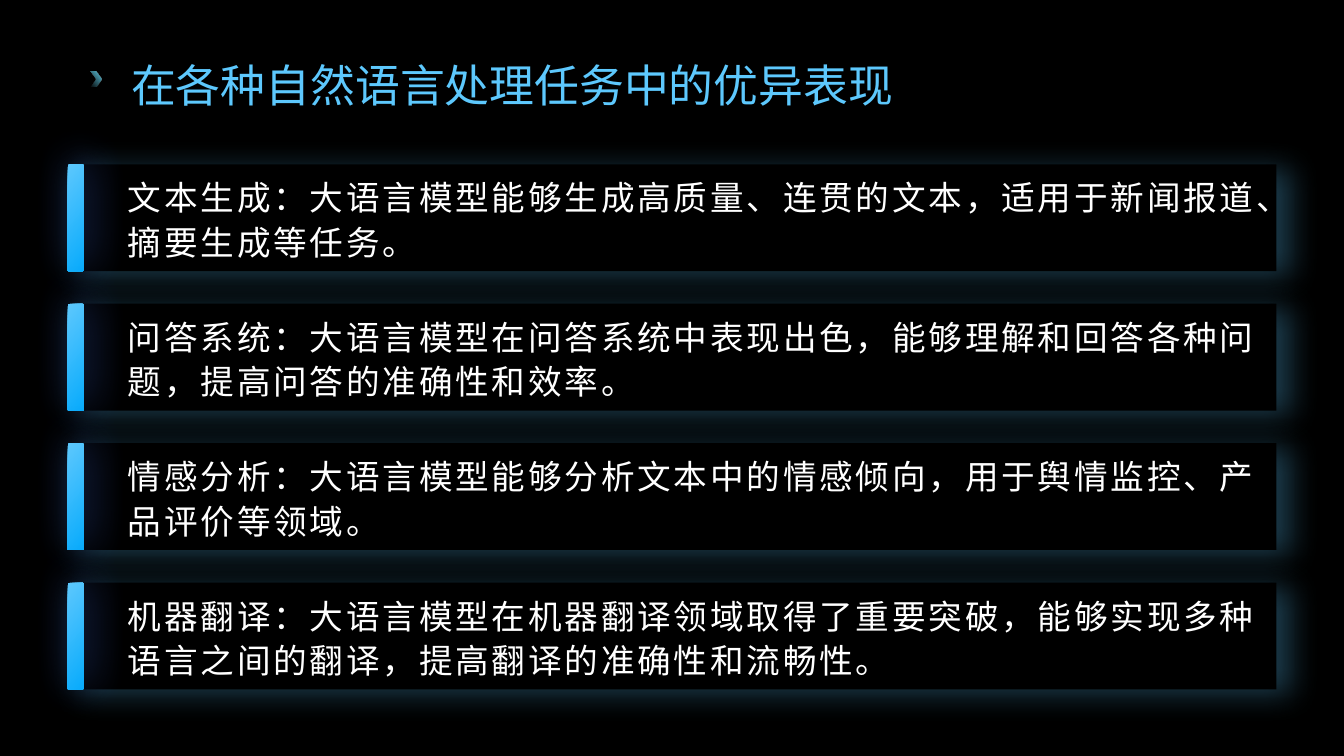
from dataclasses import dataclass

from lxml import etree
from pptx import Presentation
from pptx.dml.color import RGBColor
from pptx.enum.shapes import MSO_SHAPE
from pptx.enum.text import MSO_ANCHOR, MSO_AUTO_SIZE, PP_ALIGN
from pptx.oxml.ns import qn
from pptx.util import Inches, Pt

RECT, ROUND, CHEVRON = MSO_SHAPE.RECTANGLE, MSO_SHAPE.ROUNDED_RECTANGLE, MSO_SHAPE.CHEVRON
MIDDLE, LEFT, NO_FIT = MSO_ANCHOR.MIDDLE, PP_ALIGN.LEFT, MSO_AUTO_SIZE.NONE


@dataclass(frozen=True)
class Theme:
    black: str = "000000"
    white: str = "FFFFFF"
    sky: str = "5DC8FD"
    cyan: str = "62CFE9"
    azure: str = "08ABFC"
    indigo: str = "4575F0"
    font: str = "Karla"
    title_size: int = 32
    body_size: int = 24


T = Theme()
TITLE = "在各种自然语言处理任务中的优异表现"
TASKS = [
    "文本生成：大语言模型能够生成高质量、连贯的文本，适用于新闻报道、摘要生成等任务。",
    "问答系统：大语言模型在问答系统中表现出色，能够理解和回答各种问题，提高问答的准确性和效率。",
    "情感分析：大语言模型能够分析文本中的情感倾向，用于舆情监控、产品评价等领域。",
    "机器翻译：大语言模型在机器翻译领域取得了重要突破，能够实现多种语言之间的翻译，提高翻译的准确性和流畅性。",
]
FIRST_TOP, LAST_TOP = 1.63, 5.78
CARD_LEFT, CARD_W, CARD_H = 0.67, 11.99, 1.06
BAR_W = 0.16


def add_color(parent, color, opacity=100):
    clr = etree.SubElement(parent, qn("a:srgbClr"), val=color)
    if opacity < 100:
        etree.SubElement(clr, qn("a:alpha"), val=str(opacity * 1000))


def make_gradient(start, end, angle, start_opacity=100):
    grad = etree.Element(qn("a:gradFill"), rotWithShape="1")
    stops = etree.SubElement(grad, qn("a:gsLst"))
    for pos, color, opacity in ((0, start, start_opacity), (100, end, 100)):
        add_color(etree.SubElement(stops, qn("a:gs"), pos=str(pos * 1000)), color, opacity)
    etree.SubElement(grad, qn("a:lin"), ang=str(angle * 60000), scaled="0")
    return grad


def add_shadow(shape, color, opacity, blur, dist, angle):
    effects = shape._element.spPr.find(qn("a:effectLst"))
    shadow = etree.SubElement(
        effects, qn("a:outerShdw"), blurRad=str(Pt(blur)), dist=str(Pt(dist)),
        dir=str(angle * 60000), algn="ctr", rotWithShape="0")
    add_color(shadow, color, opacity)


def add_block(s, kind, x, y, w, h, color=None, gradient=None):
    shape = s.shapes.add_shape(kind, Inches(x), Inches(y), Inches(w), Inches(h))
    shape.shadow.inherit = False
    shape.line.fill.background()
    if gradient is None:
        shape.fill.solid()
        shape.fill.fore_color.rgb = RGBColor.from_string(color)
    else:
        shape.fill.background()
        spPr = shape._element.spPr
        spPr.replace(spPr.find(qn("a:noFill")), gradient)
    return shape


def write_text(tf, text, size, color=None, gradient=None, line_spacing=1.0,
               spacing=0, insets=(0.1, 0.05, 0, 0.05)):
    tf.word_wrap = True
    tf.auto_size = NO_FIT
    tf.vertical_anchor = MIDDLE
    tf.margin_left, tf.margin_top, tf.margin_right, tf.margin_bottom = map(Inches, insets)
    p = tf.paragraphs[0]
    p.alignment = LEFT
    p.line_spacing = line_spacing
    r = p.add_run()
    r.text = text
    r.font.size = Pt(size)
    r.font.name = T.font
    rPr = r.font._element
    rPr.set("lang", "zh-CN")
    rPr.set("spc", str(spacing * 100))
    etree.SubElement(rPr, qn("a:ea"), typeface=T.font)
    if gradient is None:
        r.font.color.rgb = RGBColor.from_string(color)
    else:
        rPr.insert(0, gradient)


def add_title(s):
    add_block(s, CHEVRON, 0.9, 0.71, 0.11, 0.15,
              gradient=make_gradient(T.cyan, T.cyan, 315, start_opacity=0))
    title = s.shapes.title
    title.left, title.top = Inches(1.2), Inches(0.45)
    title.width, title.height = Inches(11.46), Inches(0.67)
    write_text(title.text_frame, TITLE, T.title_size, line_spacing=1.2,
               gradient=make_gradient(T.sky, T.cyan, 45), insets=(0.1, 0, 0.1, 0))


def add_card(s, top):
    card = add_block(s, RECT, CARD_LEFT, top, CARD_W, CARD_H, color=T.black)
    add_shadow(card, T.sky, 30, blur=22, dist=9, angle=17)
    bar = add_block(s, ROUND, CARD_LEFT, top, BAR_W, CARD_H,
                    gradient=make_gradient(T.sky, T.azure, 40))
    bar.adjustments[0] = 0.08
    add_shadow(bar, T.indigo, 45, blur=30, dist=5, angle=315)


def add_task(s, text, top):
    box = s.shapes.add_textbox(Inches(1.17), Inches(top), Inches(11.48), Inches(CARD_H))
    write_text(box.text_frame, text, T.body_size, color=T.white,
               line_spacing=1.1, spacing=2)


def main():
    prs = Presentation()
    prs.slide_width, prs.slide_height = Inches(13.33), Inches(7.5)
    s = prs.slides.add_slide(prs.slide_layouts[5])
    s.background.fill.solid()
    s.background.fill.fore_color.rgb = RGBColor.from_string(T.black)

    # Heading with its marker
    add_title(s)

    # Evenly spaced cards, then the text over them
    pitch = (LAST_TOP - FIRST_TOP) / (len(TASKS) - 1)
    tops = [FIRST_TOP + i * pitch for i in range(len(TASKS))]
    for top in tops:
        add_card(s, top)
    for text, top in zip(TASKS, tops):
        add_task(s, text, top)

    prs.save("out.pptx")


if __name__ == "__main__":
    main()
